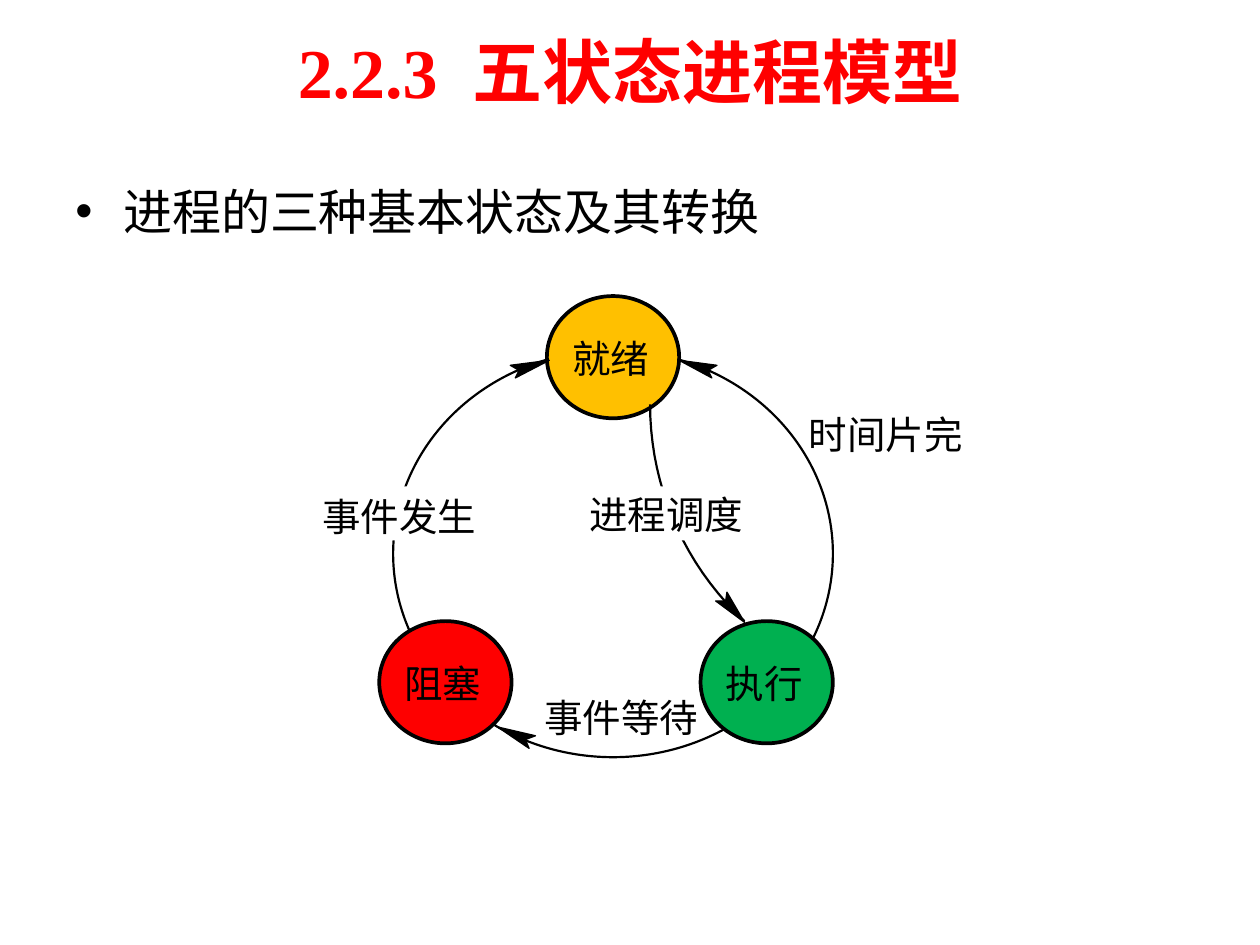
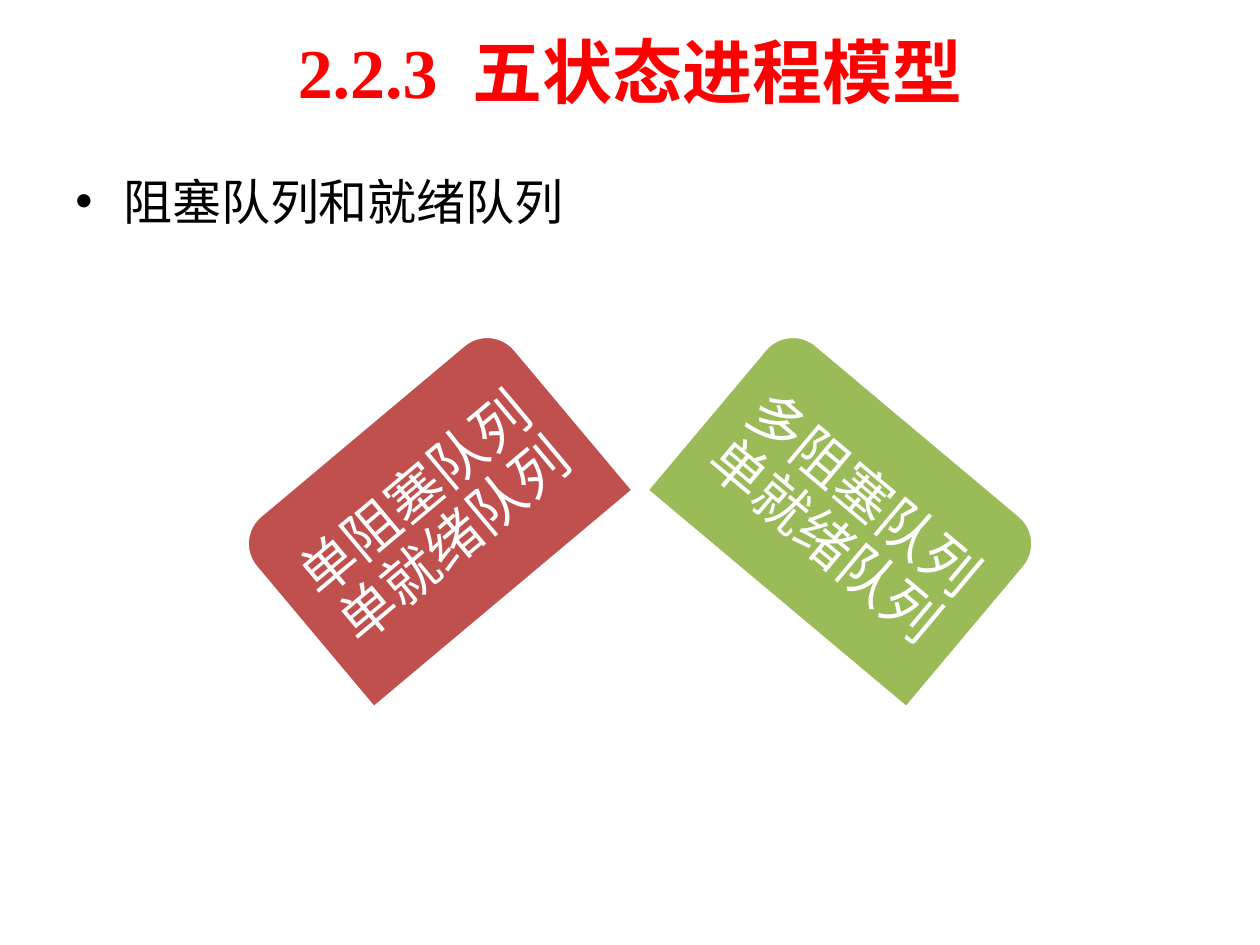
from math import asin, cos, sin

from lxml import etree
from pptx import Presentation
from pptx.dml.color import RGBColor
from pptx.enum.shapes import MSO_SHAPE
from pptx.enum.text import MSO_ANCHOR, MSO_AUTO_SIZE, PP_ALIGN
from pptx.oxml.ns import qn
from pptx.util import Inches, Pt

OVAL, RECT = MSO_SHAPE.OVAL, MSO_SHAPE.RECTANGLE
ROUND_TOP = MSO_SHAPE.ROUND_2_SAME_RECTANGLE
TOP, MIDDLE = MSO_ANCHOR.TOP, MSO_ANCHOR.MIDDLE
LEFT, CENTER = PP_ALIGN.LEFT, PP_ALIGN.CENTER
GROW = MSO_AUTO_SIZE.SHAPE_TO_FIT_TEXT

BLACK = RGBColor(0x00, 0x00, 0x00)
WHITE = RGBColor(0xFF, 0xFF, 0xFF)
TITLE_RED = RGBColor(0xFF, 0x00, 0x00)
READY_AMBER = RGBColor(0xFF, 0xC0, 0x00)
BLOCKED_RED = RGBColor(0xFE, 0x00, 0x00)
RUNNING_GREEN = RGBColor(0x00, 0xB0, 0x50)
SINGLE_RED = RGBColor(0xC0, 0x50, 0x4D)
MULTI_GREEN = RGBColor(0x9B, 0xBB, 0x59)

SERIF, SANS, CJK = "Times New Roman", "Arial", "Noto Sans CJK SC"

TITLE_NUMBER, TITLE_NAME = "2.2.3", "五状态进程模型"
STATES_TOPIC = ("进程的三种基本状态及其转换", 1.39)
QUEUES_TOPIC = ("阻塞队列和就绪队列", 1.31)

RING = (3.12, 2.78, 3.49, 3.23)
STATE_SIZE = (1.05, 0.97)
STATES = [
    ("就绪", 4.34, 2.35, READY_AMBER),
    ("阻塞", 3.01, 4.93, BLOCKED_RED),
    ("执行", 5.56, 4.93, RUNNING_GREEN),
]
ARROWHEADS = [
    [(5.65, 3.0), (5.62, 2.94), (5.69, 2.9), (5.39, 2.86)],
    [(4.05, 2.9), (4.12, 2.94), (4.09, 3.0), (4.36, 2.86)],
    [(4.2, 5.94), (4.17, 5.87), (4.25, 5.84), (3.95, 5.77)],
    [(5.77, 4.7), (5.76, 4.77), (5.68, 4.77), (5.91, 4.94)],
]
DISPATCH_START, DISPATCH_DROP, DISPATCH_RADIUS = (5.16, 3.21), 1.72, 2.35
DISPATCH_STEPS = 19
GAPS_IN_LINES = [(4.52, 3.86, 1.62, 0.43), (2.43, 3.86, 1.62, 0.43)]
EVENTS = [
    ("时间片完", 6.42, 3.26, CJK),
    ("进程调度", 4.68, 3.9, CJK),
    ("事件发生", 2.56, 3.91, SANS),
    ("事件等待", 4.32, 5.51, SERIF),
]
QUEUES = [
    ("单阻塞队列单就绪队列", 2.09, 2.2, -40, SINGLE_RED),
    ("多阻塞队列单就绪队列", 5.38, 5.43, 40, MULTI_GREEN),
]


def style(paragraph, size, font, color, bold=False):
    paragraph.font.size = Pt(size)
    paragraph.font.bold = bold
    paragraph.font.name = font
    paragraph.font.color.rgb = color
    properties = paragraph._p.pPr.find(qn("a:defRPr"))
    etree.SubElement(properties, qn("a:ea")).set("typeface", CJK)


def add_text(slide, box, text, size, font, color, bold=False,
             align=LEFT, anchor=TOP, insets=(0.1, 0.05), wrap=True):
    holder = slide.shapes.add_textbox(*map(Inches, box))
    frame = holder.text_frame
    frame.word_wrap = wrap
    frame.vertical_anchor = anchor
    frame.margin_left = frame.margin_right = Inches(insets[0])
    frame.margin_top = frame.margin_bottom = Inches(insets[1])
    paragraph = frame.paragraphs[0]
    paragraph.alignment = align
    for part in text:
        paragraph.add_run().text = part
    style(paragraph, size, font, color, bold)
    return holder, paragraph


def paint(shape, fill=None, line=None, width=1):
    shape.shadow.inherit = False
    if fill is None:
        shape.fill.background()
    else:
        shape.fill.solid()
        shape.fill.fore_color.rgb = fill
    if line is None:
        shape.line.fill.background()
    else:
        shape.line.color.rgb = line
        shape.line.width = Pt(width)


def add_preset(slide, kind, box, **look):
    shape = slide.shapes.add_shape(kind, *map(Inches, box))
    paint(shape, **look)
    return shape


def add_outline(slide, points, close, **look):
    start, *rest = [(Inches(x), Inches(y)) for x, y in points]
    builder = slide.shapes.build_freeform(*start)
    builder.add_line_segments(rest, close=close)
    paint(builder.convert_to_shape(), **look)


def add_label(slide, text, x, y, font):
    width = 22 / 72 * len(text)
    holder, _ = add_text(slide, (x, y, width, 0.37), [text], 22, font, BLACK,
                         insets=(0, 0), wrap=False)
    holder.text_frame.auto_size = GROW


def start_slide(deck, topic):
    slide = deck.slides.add_slide(deck.slide_layouts[6])
    _, title = add_text(slide, (0.5, 0.05, 9, 1.02), [TITLE_NUMBER, " ", TITLE_NAME],
                        40, SERIF, TITLE_RED, bold=True, align=CENTER, anchor=MIDDLE)
    title.runs[1]._r.get_or_add_rPr().set("spc", "1000")

    text, top = topic
    _, bullet = add_text(slide, (0.5, top, 9, 4.95), [], 28, SERIF, BLACK)
    properties = bullet._p.get_or_add_pPr()
    properties.set("marL", str(Inches(0.38)))
    properties.set("indent", str(-Inches(0.38)))
    mark = etree.Element(qn("a:buChar"))
    mark.set("char", "•")
    mark_font = etree.Element(qn("a:buFont"))
    mark_font.set("typeface", SANS)
    properties.insert(0, mark_font)
    properties.insert(1, mark)
    bullet.add_run().text = text
    return slide


def build_states(deck):
    slide = start_slide(deck, STATES_TOPIC)
    add_preset(slide, OVAL, RING, line=BLACK, width=1.25)
    for name, x, y, color in STATES:
        add_preset(slide, OVAL, (x, y, *STATE_SIZE), fill=color, line=BLACK, width=2.13)
        add_label(slide, name, x + 0.2, y + 0.31, CJK)

    x, y = DISPATCH_START
    sweep = asin(DISPATCH_DROP / DISPATCH_RADIUS)
    angles = [sweep * step / DISPATCH_STEPS for step in range(DISPATCH_STEPS + 1)]
    curve = [(x + DISPATCH_RADIUS * (1 - cos(a)), y + DISPATCH_RADIUS * sin(a))
             for a in angles]
    add_outline(slide, curve, False, line=BLACK, width=1.25)
    for head in ARROWHEADS:
        add_outline(slide, head, True, fill=BLACK, line=BLACK, width=0.75)

    for gap in GAPS_IN_LINES:
        add_preset(slide, RECT, gap, fill=WHITE)
    for event in EVENTS:
        add_label(slide, *event)


def build_queues(deck):
    slide = start_slide(deck, QUEUES_TOPIC)
    for text, card_x, text_x, angle, color in QUEUES:
        card = add_preset(slide, ROUND_TOP, (card_x, 3.21, 2.69, 1.75),
                          fill=color, line=WHITE, width=2)
        card.rotation = angle
        holder, paragraph = add_text(slide, (text_x, 3.28, 2.52, 1.67), [text], 32, SANS,
                                     WHITE, align=CENTER, anchor=MIDDLE,
                                     insets=(0.13, 0.04))
        holder.rotation = angle
        paragraph.line_spacing = 0.9
        paragraph.space_after = Pt(11)


def main():
    deck = Presentation()
    deck.slide_width, deck.slide_height = Inches(10), Inches(7.5)
    build_states(deck)
    build_queues(deck)
    deck.save("out.pptx")


if __name__ == "__main__":
    main()
